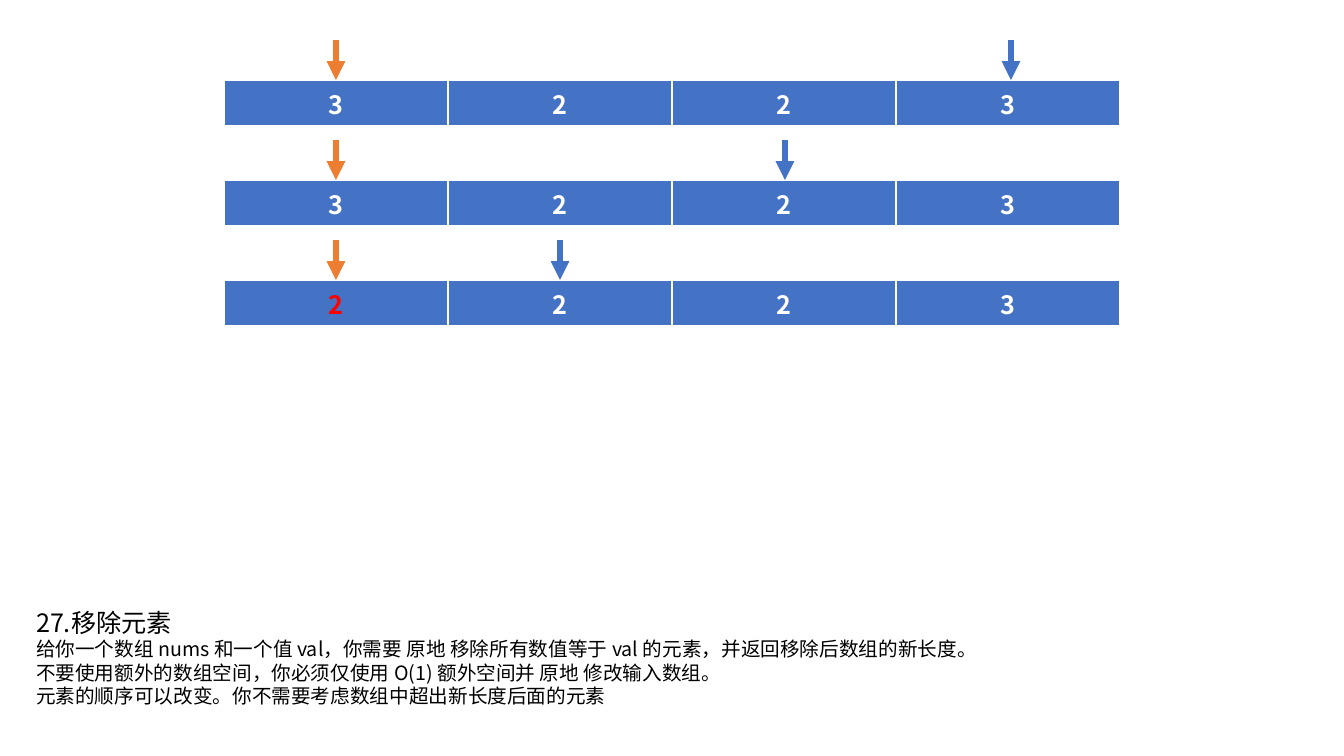
from dataclasses import dataclass

from lxml import etree
from pptx import Presentation, util as u
from pptx.dml.color import RGBColor
from pptx.enum import shapes, text
from pptx.oxml.ns import qn

PX = 9071.43  # EMU per px


@dataclass(frozen=True)
class Theme:
    font: str = "Noto Sans CJK SC"
    cell: str = "4472C4"
    slow: str = "ED7D31"
    fast: str = "4472C4"
    light: str = "FFFFFF"
    changed: str = "FF0000"
    ink: str = "000000"
    heading_size: int = 18
    body_size: int = 14
    arrow_width: float = 4.5


def px(length):
    return u.Emu(round(length * PX))


class SlideBuilder:
    def __init__(self, slide, theme):
        self.slide = slide
        self.theme = theme

    def add_run(self, paragraph, words, size, color, bold=False):
        run = paragraph.add_run()
        run.text = words
        run.font.size = u.Pt(size)
        run.font.bold = bold
        run.font.color.rgb = RGBColor.from_string(color)
        run.font.name = self.theme.font
        east_asian = etree.SubElement(run.font._element, qn("a:ea"))
        east_asian.set("typeface", self.theme.font)

    def add_borders(self, cell):
        properties = cell._tc.get_or_add_tcPr()
        for position, (side, points) in enumerate(
                (("lnL", 1), ("lnR", 1), ("lnT", 1), ("lnB", 3))):
            line = etree.Element(qn("a:" + side), w=str(u.Pt(points)))
            fill = etree.SubElement(line, qn("a:solidFill"))
            etree.SubElement(fill, qn("a:srgbClr"), val=self.theme.light)
            properties.insert(position, line)

    def add_array(self, values, left, top, width, height, changed=None):
        """Draw one array; the changed index gets the highlight colour."""
        frame = self.slide.shapes.add_table(
            1, len(values), px(left), px(top), px(width), px(height))
        for index, value in enumerate(values):
            cell = frame.table.cell(0, index)
            cell.fill.solid()
            cell.fill.fore_color.rgb = RGBColor.from_string(self.theme.cell)
            self.add_borders(cell)
            paragraph = cell.text_frame.paragraphs[0]
            paragraph.alignment = text.PP_ALIGN.CENTER
            color = self.theme.changed if index == changed else self.theme.light
            self.add_run(paragraph, str(value), self.theme.heading_size, color, True)

    def add_pointer(self, x, top, bottom, color):
        """Draw a downward arrow that marks an array position."""
        arrow = self.slide.shapes.add_connector(
            shapes.MSO_CONNECTOR.STRAIGHT, px(x), px(top), px(x), px(bottom))
        arrow.line.color.rgb = RGBColor.from_string(color)
        arrow.line.width = u.Pt(self.theme.arrow_width)
        etree.SubElement(arrow.line._get_or_add_ln(), qn("a:tailEnd"), type="triangle")
        etree.SubElement(arrow._element.spPr, qn("a:effectLst"))

    def fill_placeholder(self, placeholder, box, paragraphs, size):
        """Move a placeholder to box and fill it with plain paragraphs."""
        left, top, width, height = map(px, box)
        placeholder.left, placeholder.top = left, top
        placeholder.width, placeholder.height = width, height
        frame = placeholder.text_frame
        frame.word_wrap = True
        frame.auto_size = text.MSO_AUTO_SIZE.NONE
        frame.vertical_anchor = text.MSO_ANCHOR.TOP
        for index, words in enumerate(paragraphs):
            paragraph = frame.add_paragraph() if index else frame.paragraphs[0]
            properties = paragraph._p.get_or_add_pPr()
            properties.set("marL", "0")
            properties.set("indent", "0")
            etree.SubElement(properties, qn("a:buNone"))
            paragraph.alignment = text.PP_ALIGN.LEFT
            paragraph.space_before = paragraph.space_after = u.Pt(0)
            paragraph.line_spacing = u.Pt(size * 1.2)
            self.add_run(paragraph, words, size, self.theme.ink)


def main():
    presentation = Presentation()
    presentation.slide_width, presentation.slide_height = px(1344), px(756)
    slide = presentation.slides.add_slide(presentation.slide_layouts[1])
    theme = Theme()
    builder = SlideBuilder(slide, theme)

    # Each step: array values, x of the fast pointer, changed index
    steps = [
        ((3, 2, 2, 3), 1011, None),
        ((3, 2, 2, 3), 785, None),
        ((2, 2, 2, 3), 560, 0),
    ]
    for index, (values, fast_x, changed) in enumerate(steps):
        top = 80 + 100 * index
        builder.add_array(values, 224, top, 896, 41, changed)
        builder.add_pointer(fast_x, top - 40, top, theme.fast)
        builder.add_pointer(336, top - 40, top, theme.slow)

    title, body = slide.placeholders
    builder.fill_placeholder(title, (26, 602, 964, 36), ["27.移除元素"], theme.heading_size)
    builder.fill_placeholder(body, (26, 632, 964, 106), [
        "给你一个数组 nums 和一个值 val，你需要 原地 移除所有数值等于 val 的元素，并返回移除后数组的新长度。",
        "不要使用额外的数组空间，你必须仅使用 O(1) 额外空间并 原地 修改输入数组。",
        "元素的顺序可以改变。你不需要考虑数组中超出新长度后面的元素",
    ], theme.body_size)

    presentation.save("out.pptx")


if __name__ == "__main__":
    main()
